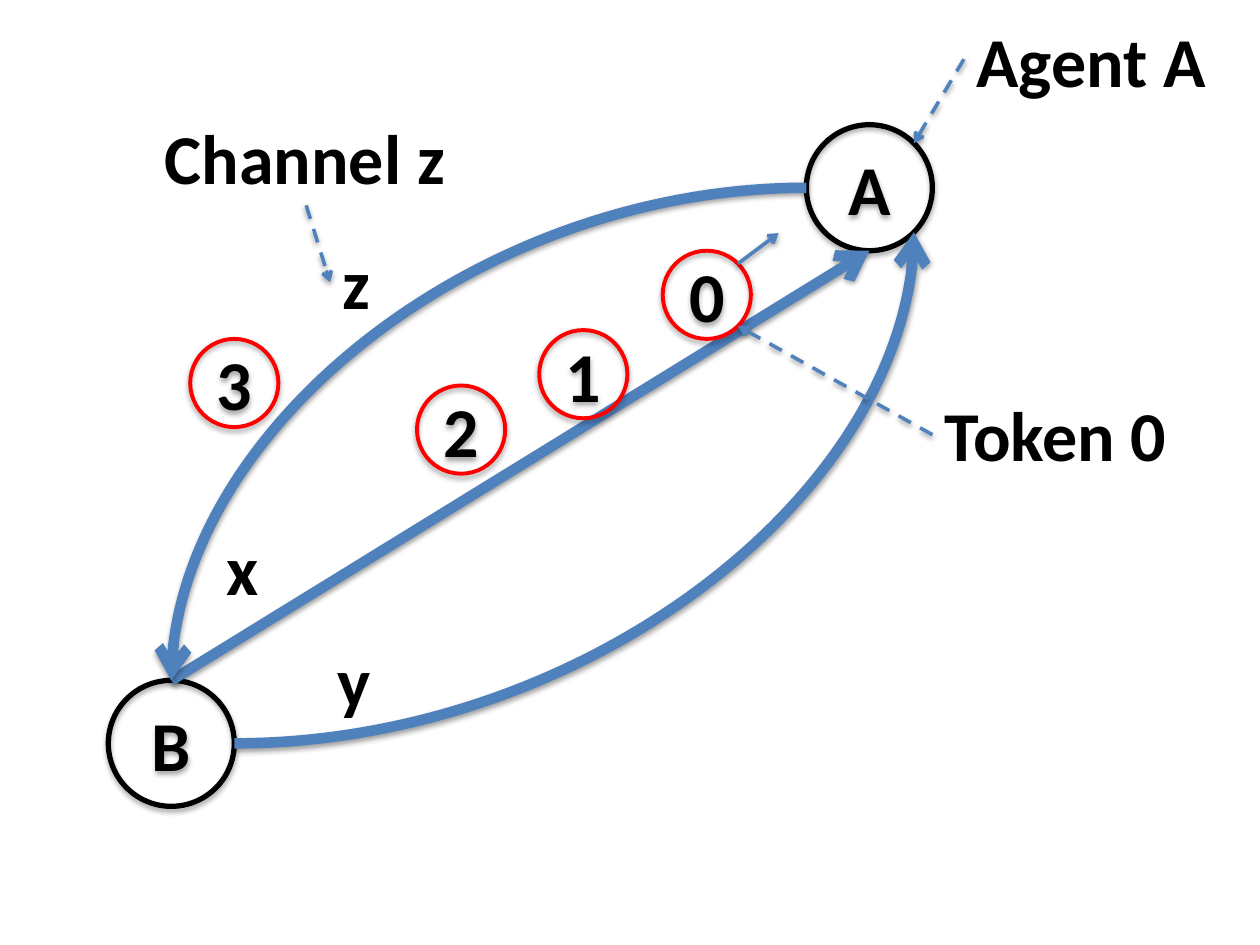
from dataclasses import dataclass
from math import cos, radians, sin

from lxml.etree import SubElement
from pptx import Presentation
from pptx.dml.color import RGBColor
from pptx.enum.dml import MSO_LINE
from pptx.enum.shapes import MSO_CONNECTOR as CONN, MSO_SHAPE as SHAPE
from pptx.enum.text import MSO_ANCHOR, MSO_AUTO_SIZE, PP_ALIGN
from pptx.oxml.ns import qn
from pptx.util import Inches, Pt


@dataclass(frozen=True)
class Theme:
    """Colours, type and line widths of the slide."""
    font: str = "Calibri"
    size: float = 40
    ink: str = "000000"
    token: str = "FF0000"
    channel: str = "4F81BD"
    node_width: float = 3
    token_width: float = 2.25
    channel_width: float = 6
    pointer_width: float = 2


@dataclass(frozen=True)
class Circle:
    """A labelled circle: centre and radius in grid cells."""
    label: str
    col: float
    row: float
    radius: float

    def rim(self, angle):
        """Return the rim point at an angle, clockwise from the right."""
        a = radians(angle)
        return self.col + self.radius * cos(a), self.row + self.radius * sin(a)


THEME = Theme()
RIGHT, LOWER_RIGHT, BOTTOM, LEFT, TOP, UPPER_RIGHT = 0, 45, 90, 180, 270, 315
CELL = Inches(0.1)  # grid of 100 columns by 75 rows
AGENT_A = Circle("A", 69, 14.9, 5)
AGENT_B = Circle("B", 13.6, 59, 5)
TOKENS = [Circle("0", 56.1, 23.4, 3.5), Circle("1", 46.3, 29.7, 3.5),
          Circle("2", 36.6, 34.1, 3.5), Circle("3", 18.6, 30.4, 3.5)]
LABELS = [("x", 17, 41.2, 4.6), ("z", 26.2, 18.5, 4.2), ("y", 25.8, 50.1, 4.7),
          ("Channel z", 12.1, 8.6, 24.5), ("Agent A", 76.5, 0.9, 20.5),
          ("Token 0", 74, 30.6, 20.5)]
LABEL_ROWS = 7.7


def cells(*values):
    """Convert grid cells to slide lengths."""
    return [round(v * CELL) for v in values]


def set_line(sp, color, width):
    """Give a shape or connector a solid line."""
    sp.line.color.rgb = RGBColor.from_string(color)
    sp.line.width = Pt(width)


def add_shadow(sp, distance, opacity):
    """Add a soft black shadow that falls straight down."""
    effects = SubElement(sp._element.spPr, qn("a:effectLst"))
    shadow = SubElement(effects, qn("a:outerShdw"), blurRad=str(Pt(3.15)),
                        dist=str(Pt(distance)), dir="5400000", rotWithShape="0")
    color = SubElement(shadow, qn("a:srgbClr"), val=THEME.ink)
    SubElement(color, qn("a:alpha"), val=str(opacity * 1000))


def set_text(tf, text, align=None):
    """Write one bold line of text."""
    tf.text = text
    p = tf.paragraphs[0]
    p.alignment = align
    font = p.runs[0].font
    font.name, font.size, font.bold = THEME.font, Pt(THEME.size), True
    font.color.rgb = RGBColor.from_string(THEME.ink)


def add_circle(slide, circle, color, width):
    """Draw an open circle with its label in the middle."""
    r = circle.radius
    sp = slide.shapes.add_shape(SHAPE.OVAL, *cells(
        circle.col - r, circle.row - r, 2 * r, 2 * r))
    sp.fill.background()
    set_line(sp, color, width)
    add_shadow(sp, 1.81, 35)
    sp.text_frame.vertical_anchor = MSO_ANCHOR.MIDDLE
    set_text(sp.text_frame, circle.label, PP_ALIGN.CENTER)


def add_label(slide, text, col, row, cols):
    """Place a free label that does not wrap."""
    sp = slide.shapes.add_textbox(*cells(col, row, cols, LABEL_ROWS))
    tf = sp.text_frame
    tf.word_wrap = False
    tf.auto_size = MSO_AUTO_SIZE.SHAPE_TO_FIT_TEXT
    set_text(tf, text)


def add_arrow(slide, start, end, width, curved=False, dashed=False, tip="tailEnd"):
    """Draw an arrow; a curved one leaves sideways and arrives upright."""
    kind = CONN.CURVE if curved else CONN.STRAIGHT
    cxn = slide.shapes.add_connector(kind, *cells(*start, *end))
    set_line(cxn, THEME.channel, width)
    if curved:
        cxn._element.spPr.find(qn("a:prstGeom")).set("prst", "curvedConnector2")
    if dashed:
        cxn.line.dash_style = MSO_LINE.DASH
    SubElement(cxn.line._get_or_add_ln(), qn(f"a:{tip}"), type="arrow")
    add_shadow(cxn, 1.57, 38)


def add_channels(slide):
    """Draw the three channels between the agents."""
    width = THEME.channel_width
    add_arrow(slide, AGENT_A.rim(BOTTOM), AGENT_B.rim(TOP), width, tip="headEnd")
    add_arrow(slide, AGENT_A.rim(LEFT), AGENT_B.rim(TOP), width, curved=True)
    add_arrow(slide, AGENT_B.rim(RIGHT), AGENT_A.rim(LOWER_RIGHT), width, curved=True)


def add_pointers(slide):
    """Draw the dashed callouts and the heading of the first token."""
    first, width = TOKENS[0], THEME.pointer_width
    for start, end in [((24.3, 16.3), (26.2, 22.4)),
                       ((76.5, 4.7), AGENT_A.rim(UPPER_RIGHT)),
                       ((74, 34.5), first.rim(LOWER_RIGHT))]:
        add_arrow(slide, start, end, width, dashed=True)
    add_arrow(slide, first.rim(UPPER_RIGHT), (61.8, 18.5), width)


def main():
    """Build the slide and save it."""
    prs = Presentation()
    prs.slide_width, prs.slide_height = cells(100, 75)
    slide = prs.slides.add_slide(prs.slide_layouts[6])
    for agent in (AGENT_A, AGENT_B):
        add_circle(slide, agent, THEME.ink, THEME.node_width)
    add_channels(slide)
    for label in LABELS:
        add_label(slide, *label)
    for token in TOKENS:
        add_circle(slide, token, THEME.token, THEME.token_width)
    add_pointers(slide)
    prs.save("out.pptx")


main()
